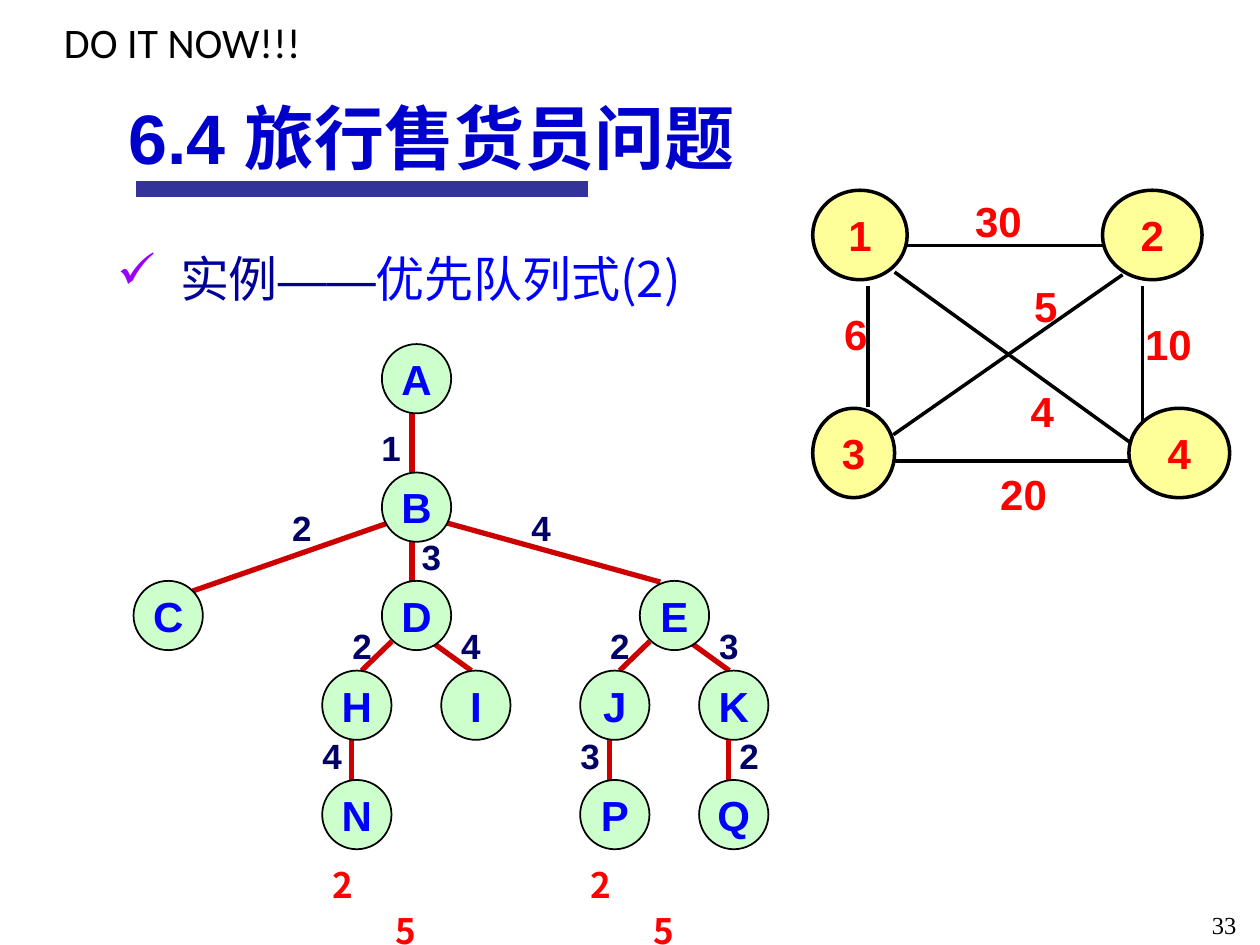
import pptx
import pptx.util
import pptx.dml.color
import pptx.enum.shapes
import pptx.enum.text
import pptx.oxml.ns
import lxml.etree

Pt = pptx.util.Pt
ALIGN = pptx.enum.text.PP_ALIGN
MIDDLE = pptx.enum.text.MSO_ANCHOR.MIDDLE
TOP = pptx.enum.text.MSO_ANCHOR.TOP
SANS = "Arial"
HAN = "Noto Sans CJK SC"
COLORS = {
    "black": "000000", "bar": "333399", "title": "0000CC", "navy": "000099",
    "blue": "0000FF", "tick": "9900FF", "red": "FF0000", "yellow": "FFFF99",
    "green": "CCFFCC", "branch": "CC0000", "label": "000066",
}


def add_tag(parent, tag, **attrs):
    return lxml.etree.SubElement(parent, pptx.oxml.ns.qn(tag), **attrs)


class Board:
    """Holds the style and the current slide."""

    def __init__(self, slide):
        self.shapes = slide.shapes

    def color(self, name):
        return pptx.dml.color.RGBColor.from_string(COLORS[name])

    def line(self, start, end, color, width):
        link = self.shapes.add_connector(
            pptx.enum.shapes.MSO_CONNECTOR.STRAIGHT,
            *(Pt(n) for n in (*start, *end)))
        link.line.color.rgb = self.color(color)
        link.line.width = Pt(width)
        add_tag(link._element.spPr, "a:effectLst")

    def style(self, run, size, color, face, bold):
        run.font.size = Pt(size)
        run.font.name = face
        run.font.bold = bold
        run.font.color.rgb = self.color(color)
        add_tag(run._r.get_or_add_rPr(), "a:ea", typeface=face)

    def fill_in(self, shape, text, size, color, face=SANS, bold=True,
                align=ALIGN.LEFT, anchor=TOP, wrap=False, inset=(7.2, 3.6)):
        frame = shape.text_frame
        frame.word_wrap = wrap
        frame.vertical_anchor = anchor
        frame.margin_left = frame.margin_right = Pt(inset[0])
        frame.margin_top = frame.margin_bottom = Pt(inset[1])
        frame.text = text
        para = frame.paragraphs[0]
        para.alignment = align
        self.style(para.runs[0], size, color, face, bold)
        return para

    def text(self, box, text, size, color, **looks):
        shape = self.shapes.add_textbox(*(Pt(n) for n in box))
        return self.fill_in(shape, text, size, color, **looks)

    def oval(self, box, text, fill, width, color):
        shape = self.shapes.add_shape(
            pptx.enum.shapes.MSO_SHAPE.OVAL, *(Pt(n) for n in box))
        shape.shadow.inherit = False
        shape.fill.solid()
        shape.fill.fore_color.rgb = self.color(fill)
        shape.line.color.rgb = self.color("black")
        shape.line.width = Pt(width)
        self.fill_in(shape, text, 24, color, align=ALIGN.CENTER,
                     anchor=MIDDLE, inset=(0, 0))

    def hang(self, para):
        para.line_spacing = 1.1
        props = para._p.get_or_add_pPr()
        props.set("marL", str(Pt(36)))
        props.set("indent", str(-Pt(36)))
        return props

    def bullet(self, box, mark, size, parts):
        text, color, face = parts[0]
        para = self.text(box, text, size, color, face=face, bold=False,
                         wrap=True)
        props = self.hang(para)
        tint = add_tag(props, "a:buClr")
        add_tag(tint, "a:srgbClr", val=COLORS["tick"])
        add_tag(props, "a:buChar", char=mark)
        for text, color, face in parts[1:]:
            run = para.add_run()
            run.text = text
            self.style(run, size, color, face, False)

    def node(self, x, y, text):
        self.oval((x, y, 39.6, 39.6), text, "green", 1, "blue")

    def label(self, x, y, text):
        self.text((x, y, 22.3, 28), text, 20, "label", align=ALIGN.CENTER,
                  anchor=MIDDLE, inset=(0, 0))

    def branch(self, start, end):
        self.line(start, end, "branch", 3)

    def cost(self, x, y, text):
        para = self.text((x, y, 22.3, 52.6), text, 20, "red", face=HAN,
                         wrap=True, inset=(0, 0))
        self.hang(para)


def draw_head(board):
    board.line((77.8, 108), (336.2, 108), "bar", 9.5)
    board.text((29.5, 5.8, 188, 36), "DO IT NOW!!!", 24, "black",
               face="Calibri", bold=False)
    board.text((563.8, 516.2, 149.8, 18), "33", 14, "black",
               face="Times New Roman", bold=False, align=ALIGN.RIGHT,
               wrap=True)
    board.text((66.2, 48.2, 540, 60), "6.4 旅行售货员问题", 40, "title",
               anchor=MIDDLE, wrap=True)
    board.bullet((59.8, 135.4, 368, 44), "✓", 28, [
        ("实例", "navy", HAN), ("——", "navy", SANS),
        ("优先队列式(2)", "blue", HAN)])


def draw_graph(board):
    # Cities
    for x, y, width, text in [(464.4, 108.7, 54, "1"), (464.4, 233.3, 46.8, "3"),
                              (645.1, 233.3, 57.6, "4"), (630, 108.7, 56.9, "2")]:
        board.oval((x, y, width, 51.1), text, "yellow", 2, "red")
    # Roads
    for start, end in [((518.4, 140.2), (630.7, 140.2)),
                       ((511.2, 155.5), (646.6, 253.4)),
                       ((653, 163.4), (653, 240.5)),
                       ((496.1, 163.4), (496.1, 232.6)),
                       ((510.5, 248.4), (641.5, 157)),
                       ((511.2, 263.5), (645.8, 263.5))]:
        board.line(start, end, "black", 2)
    # Road lengths
    for x, y, text in [(550.1, 108, "30"), (475.2, 172.8, "6"),
                       (647.3, 178.6, "10"), (583.9, 157, "5"),
                       (581.8, 216.7, "4"), (564.5, 264.2, "20")]:
        board.text((x, y, 14.4 + 13.3 * len(text), 36), text, 24, "red")


def draw_tree(board):
    mid, right = 218.2, 365.6
    rows = [196.6, 270, 331.9, 383.2, 445.7]
    # Upper branches and nodes
    board.branch((235.4, 236.2), (235.4, rows[1]))
    board.branch((235.4, 309.6), (235.4, rows[2]))
    board.branch((223.9, 298.1), (110.2, 337.7))
    board.branch((252.7, 298.1), (377.3, 332.6))
    for x, row, text in [(mid, 0, "A"), (mid, 1, "B"), (76.3, 2, "C")]:
        board.node(x, rows[row], text)
    for x, y, text in [(212.4, 241.9, "1"), (161.3, 287.3, "2"),
                       (235.4, 303.8, "3"), (298.1, 287.3, "4")]:
        board.label(x, y, text)

    # Two lower trees of the same form
    for x, names, edges in [(mid, "DHIN", "244"), (right, "EJKP", "233")]:
        top, first, second, leaf = names
        board.branch((x + 5.7, 366.5), (x - 11.5, rows[3]))
        board.branch((x + 28, 366.5), (x + 51.1, rows[3]))
        board.branch((x - 17.3, 423), (x - 17.3, rows[4]))
        for shift, row, text in [(0, 2, top), (-34.1, 3, first),
                                 (33.9, 3, second), (-34.1, 4, leaf)]:
            board.node(x + shift, rows[row], text)
        for shift, y, text in zip((-22.5, 39.7, -39.6), (355, 355, 417.6), edges):
            board.label(x + shift, y, text)
        board.cost(x - 28.1, 491, "25")

    # Last leaf
    board.branch((416.5, 423), (416.5, rows[4]))
    board.node(right + 33.9, rows[4], "Q")
    board.label(416.9, 417.6, "2")


def main():
    deck = pptx.Presentation()
    deck.slide_width, deck.slide_height = Pt(720), Pt(540)
    board = Board(deck.slides.add_slide(deck.slide_layouts[6]))
    draw_head(board)
    draw_graph(board)
    draw_tree(board)
    deck.save("out.pptx")


if __name__ == "__main__":
    main()
